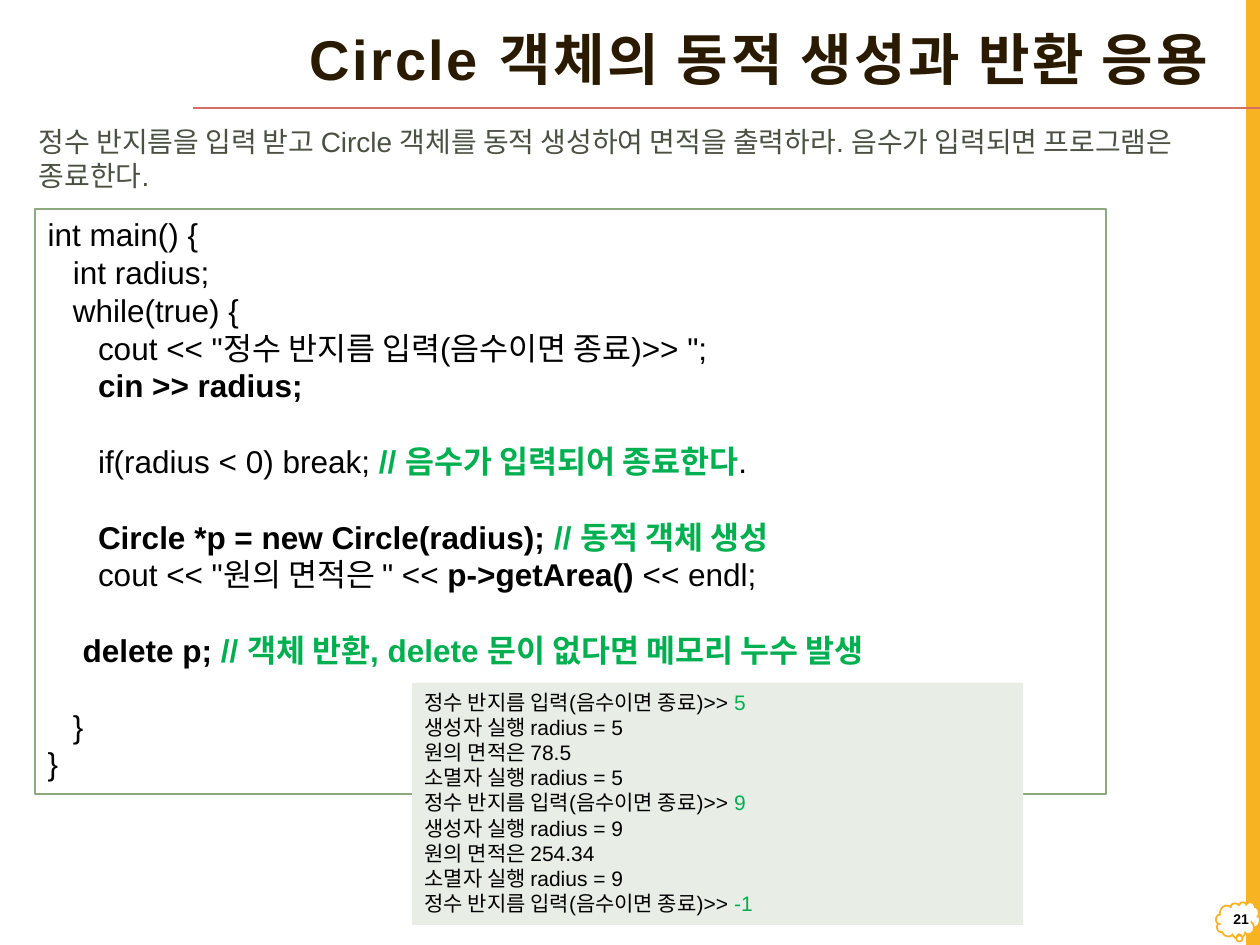
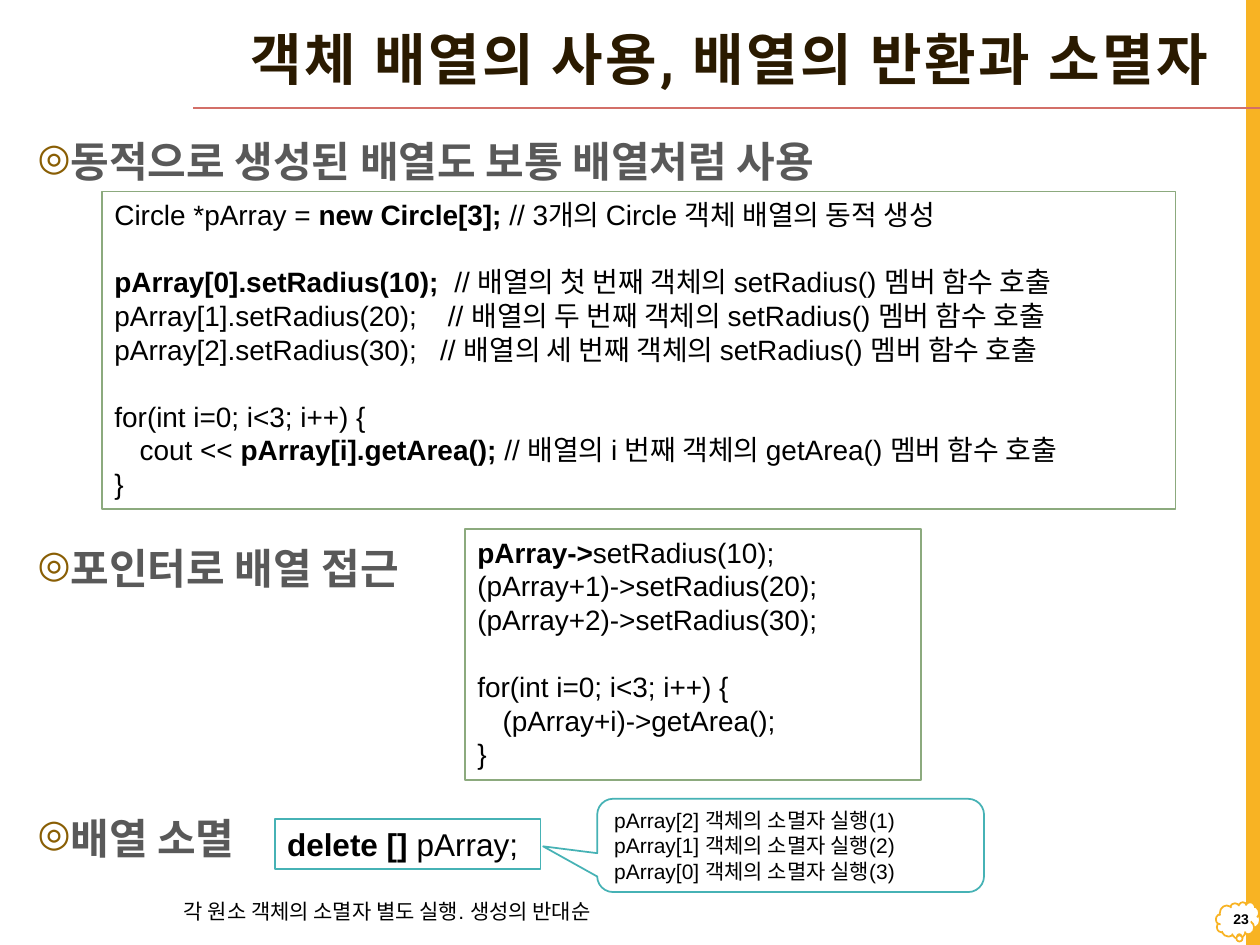
from lxml.etree import SubElement
from pptx import Presentation
from pptx.dml.color import RGBColor
from pptx.enum.shapes import MSO_CONNECTOR as CONNECTOR, MSO_SHAPE as SHAPE
from pptx.enum.text import MSO_ANCHOR as ANCHOR, PP_ALIGN as ALIGN
from pptx.oxml.ns import qn
from pptx.util import Pt

PX = 9144
FONT = "Arial"
WHITE = RGBColor(0xFF, 0xFF, 0xFF)
BLACK = RGBColor(0, 0, 0)
AMBER = RGBColor(0xF8, 0xB3, 0x23)
ROSE = RGBColor(0xD3, 0x6F, 0x68)
BROWN = RGBColor(0x2A, 0x1A, 0x00)
OLIVE = RGBColor(0x4C, 0x50, 0x43)
GRAY = RGBColor(0x59, 0x59, 0x59)
SAGE = RGBColor(0x8C, 0xAA, 0x7E)
PALE_SAGE = RGBColor(0xE8, 0xEE, 0xE5)
TEAL = RGBColor(0x46, 0xB2, 0xB5)
GREEN = RGBColor(0x00, 0xB0, 0x50)
BULLET_COLOR = "895E04"
TAB_STEP = 20
HEADING_INDENT = 25


def px(*lengths):
    return [length * PX for length in lengths]


def bold(text):
    return text, {"bold": True}


def comment(text):
    return text, {"bold": True, "color": GREEN}


def typed(text):
    return text, {"color": GREEN}


def write(frame, lines, size=12, color=BLACK, bold=False, font=FONT, align=ALIGN.LEFT,
          anchor=ANCHOR.TOP, wrap=True, line_spacing=None, tracking=None,
          bullet=None, tabs=0):
    frame.word_wrap = wrap
    frame.vertical_anchor = anchor
    paragraph = None
    skipped = 0
    for line in lines:
        if line is None:
            skipped += 1
            continue
        paragraph = frame.add_paragraph() if paragraph else frame.paragraphs[0]
        properties = paragraph._p.get_or_add_pPr()
        if bullet:
            properties.set("marL", str(HEADING_INDENT * PX))
            properties.set("indent", str(-HEADING_INDENT * PX))
            tint = SubElement(properties, qn("a:buClr"))
            SubElement(tint, qn("a:srgbClr"), val=BULLET_COLOR)
            SubElement(properties, qn("a:buSzPct"), val="90000")
            SubElement(properties, qn("a:buChar"), char=bullet)
        if tabs:
            stops = SubElement(properties, qn("a:tabLst"))
            for stop in range(1, tabs + 1):
                SubElement(stops, qn("a:tab"), pos=str(stop * TAB_STEP * PX), algn="l")
        paragraph.alignment = align
        if line_spacing:
            paragraph.line_spacing = line_spacing
        if skipped:
            paragraph.space_before = Pt(skipped * size * 1.2)
            skipped = 0
        for part in [line] if isinstance(line, str) else line:
            text, style = (part, {}) if isinstance(part, str) else part
            run = paragraph.add_run()
            run.text = text
            run.font.name = font
            run.font.size = Pt(size)
            run.font.bold = style.get("bold", bold)
            run.font.color.rgb = style.get("color", color)
            if tracking:
                run._r.get_or_add_rPr().set("spc", str(tracking))


class Lecture:
    def __init__(self):
        self.deck = Presentation()
        self.deck.slide_width, self.deck.slide_height = px(1000, 750)
        self.slide = None

    def start(self, title, number, title_font=FONT):
        self.slide = self.deck.slides.add_slide(self.deck.slide_layouts[6])
        self.slide.background.fill.solid()
        self.slide.background.fill.fore_color.rgb = WHITE
        self.box((989, 0, 11, 750), fill=AMBER)
        self.box((965, 716, 35, 29), SHAPE.CLOUD_CALLOUT, line=AMBER, adjust=(0.03, 0.43))
        self.rule((1000, 86), (153, 86), ROSE)
        self.text((132, 13, 837, 73), [title], size=32, color=BROWN, bold=True,
                  font=title_font, align=ALIGN.RIGHT, anchor=ANCHOR.MIDDLE,
                  line_spacing=0.9, tracking=150)
        self.text((966, 712, 35, 35), [str(number)], size=8, bold=True,
                  align=ALIGN.RIGHT, anchor=ANCHOR.MIDDLE)

    def box(self, place, kind=SHAPE.RECTANGLE, fill=WHITE, line=None, adjust=(),
            lines=(), **style):
        shape = self.slide.shapes.add_shape(kind, *px(*place))
        shape.shadow.inherit = False
        shape.fill.solid()
        shape.fill.fore_color.rgb = fill
        if line is None:
            shape.line.fill.background()
        else:
            shape.line.color.rgb = line
            shape.line.width = Pt(1)
        for index, value in enumerate(adjust):
            shape.adjustments[index] = value
        if lines:
            write(shape.text_frame, lines, **style)

    def code(self, place, lines, size):
        self.box(place, line=SAGE, lines=lines, size=size, tabs=2)

    def text(self, place, lines, **style):
        write(self.slide.shapes.add_textbox(*px(*place)).text_frame, lines, **style)

    def heading(self, top, title, width):
        self.text((20, top, width, 55), [title], size=24, color=GRAY, bold=True,
                  line_spacing=1.1, bullet="◎")

    def rule(self, start, end, color):
        line = self.slide.shapes.add_connector(CONNECTOR.STRAIGHT, *px(*start, *end))
        line.line.color.rgb = color
        line.line.width = Pt(1)
        SubElement(line._element.spPr, qn("a:effectLst"))


def circle_slide(lecture):
    lecture.start("Circle 객체의 동적 생성과 반환 응용", 21)
    lecture.code((28, 166, 850, 464), [
        "int main() {",
        "\tint radius;",
        "\twhile(true) {",
        "\t\tcout << \"정수 반지름 입력(음수이면 종료)>> \";",
        ["\t\t", bold("cin >> radius;")],
        None,
        ["\t\tif(radius < 0) break; ", comment("// 음수가 입력되어 종료한다"), "."],
        None,
        ["\t\t", bold("Circle *p = new Circle(radius); "), comment("// 동적 객체 생성")],
        ["\t\tcout << \"원의 면적은 \" << ", bold("p->getArea() "), "<< endl;"],
        None,
        [bold("    delete p; "), comment("// 객체 반환, delete 문이 없다면 메모리 누수 발생")],
        None,
        "\t}",
        "}",
    ], size=18)
    lecture.text((21, 94, 929, 64), [
        "정수 반지름을 입력 받고 Circle 객체를 동적 생성하여 면적을 출력하라. "
        "음수가 입력되면 프로그램은 종료한다."], size=16, color=OLIVE)
    prompt = "정수 반지름 입력(음수이면 종료)>> "
    output = []
    for radius, area in (("5", "78.5"), ("9", "254.34")):
        output += [[prompt, typed(radius)],
                   f"생성자 실행 radius = {radius}",
                   f"원의 면적은 {area}",
                   f"소멸자 실행 radius = {radius}"]
    output.append([prompt, typed("-1")])
    lecture.box((327, 542, 485, 192), fill=PALE_SAGE, lines=output)


def array_slide(lecture):
    lecture.start("객체 배열의 사용, 배열의 반환과 소멸자", 23, title_font="Roboto Condensed")
    lecture.heading(99, "동적으로 생성된 배열도 보통 배열처럼 사용", 953)
    lecture.heading(422, "포인터로 배열 접근", 340)
    lecture.heading(636, "배열 소멸", 190)
    call = "멤버 함수 호출"
    lecture.code((81, 152, 852, 252), [
        ["Circle *pArray = ", bold("new Circle[3]; "), "// 3개의 Circle 객체 배열의 동적 생성"],
        None,
        [bold("pArray[0].setRadius(10);  "), f"// 배열의 첫 번째 객체의 setRadius() {call}"],
        f"pArray[1].setRadius(20);    // 배열의 두 번째 객체의 setRadius() {call}",
        f"pArray[2].setRadius(30);   // 배열의 세 번째 객체의 setRadius() {call}",
        None,
        "for(int i=0; i<3; i++) {",
        ["\tcout << ", bold("pArray[i].getArea(); "),
         f"// 배열의 i 번째 객체의 getArea() {call}"],
        "}",
    ], size=16)
    lecture.code((369, 420, 362, 199), [
        [bold("pArray->"), "setRadius(10);"],
        "(pArray+1)->setRadius(20);",
        "(pArray+2)->setRadius(30);",
        None,
        "for(int i=0; i<3; i++) {",
        "\t(pArray+i)->getArea();",
        "}",
    ], size=16)
    lecture.box((218, 650, 211, 40), line=TEAL, size=18, wrap=False,
                lines=[[bold("delete [] "), "pArray;"]])
    lecture.box((474, 634, 307, 74), SHAPE.ROUNDED_RECTANGULAR_CALLOUT, line=TEAL,
                adjust=(-0.64, 0.01, 0.17), anchor=ANCHOR.MIDDLE,
                lines=[f"pArray[{2 - step}] 객체의 소멸자 실행({step + 1})"
                       for step in range(3)])
    lecture.text((136, 708, 385, 30), ["각 원소 객체의 소멸자 별도 실행. 생성의 반대순"],
                 wrap=False)


def main():
    lecture = Lecture()
    circle_slide(lecture)
    array_slide(lecture)
    lecture.deck.save("out.pptx")


if __name__ == "__main__":
    main()
